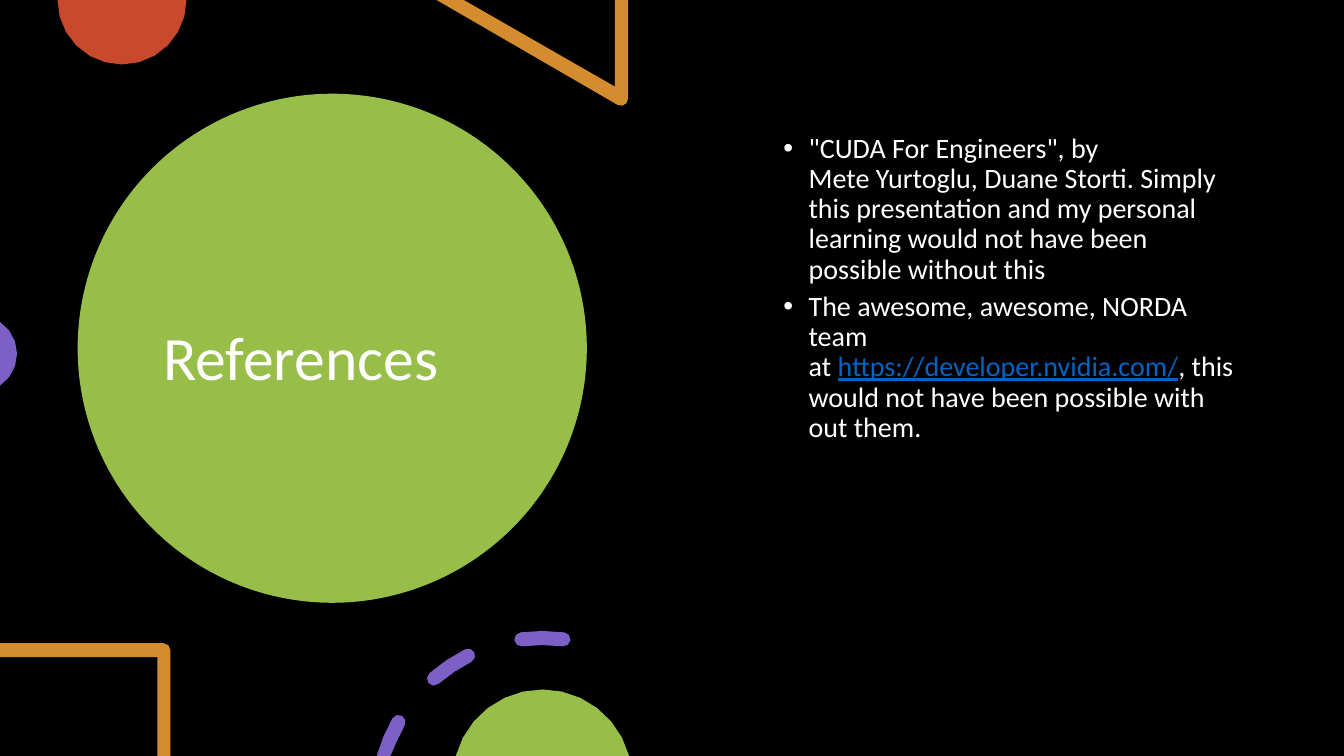
from math import ceil, cos, radians, sin, sqrt

from lxml import etree
from pptx import Presentation
from pptx.dml.color import RGBColor
from pptx.enum.shapes import MSO_SHAPE
from pptx.enum.text import MSO_ANCHOR, MSO_AUTO_SIZE, PP_ALIGN
from pptx.oxml.ns import qn
from pptx.util import Inches, Pt

OVAL = MSO_SHAPE.OVAL
LEFT = PP_ALIGN.LEFT
TOP, MIDDLE = MSO_ANCHOR.TOP, MSO_ANCHOR.MIDDLE
NO_FIT = MSO_AUTO_SIZE.NONE

BLACK = RGBColor(0x00, 0x00, 0x00)
WHITE = RGBColor(0xFF, 0xFF, 0xFF)
GREEN = RGBColor(0x97, 0xBE, 0x49)
RED = RGBColor(0xC9, 0x49, 0x2C)
ORANGE = RGBColor(0xD5, 0x8C, 0x2E)
PURPLE = RGBColor(0x7C, 0x60, 0xC6)
LINK_BLUE = RGBColor(0x05, 0x63, 0xC1)

FONT = "Calibri"
WIDTH, HEIGHT = 13.33, 7.5
TITLE = "References"
LINK = "https://developer.nvidia.com/"
REFERENCES = [
    ['"CUDA For Engineers", by Mete\u00a0Yurtoglu, Duane Storti. Simply this presentation '
     "and my personal learning would not have been possible without this"],
    ["The awesome, awesome, NORDA team at\u00a0", LINK,
     ", this would not have been possible with out them."],
]

# Circles cut by the slide edge: centre x, centre y, radius, first and last angle, colour
CUT_CIRCLES = [
    (1.21, 0, 0.64, 0, 180, RED),
    (-0.21, 3.51, 0.38, -56.5, 56.5, PURPLE),
    (5.38, 7.73, 0.89, 195, 345, GREEN),
]
RING_CENTRE, RING_RADIUS, DASH_HALF = (5.38, 7.97), 1.64, 0.07
DASHES = [(196.2, 209.5), (229, 243.3), (262.7, 277.3)]
CORNER_RADIUS = 0.07


def arc(x, y, radius, start, end):
    """Points along an arc; angles in degrees, clockwise from the right."""
    steps = ceil(abs(end - start) * sqrt(radius) / 12)
    angles = [radians(start + (end - start) * i / steps) for i in range(steps + 1)]
    return [(x + radius * cos(a), y + radius * sin(a)) for a in angles]


def round_dash(start, end):
    """Outline of one ring dash with round ends, cut at the slide's bottom edge."""
    x, y = RING_CENTRE
    tail, head = [(x + RING_RADIUS * cos(radians(a)), y + RING_RADIUS * sin(radians(a)))
                  for a in (start, end)]
    points = (arc(x, y, RING_RADIUS + DASH_HALF, start, end)
              + arc(*head, DASH_HALF, end, end + 180)
              + arc(x, y, RING_RADIUS - DASH_HALF, end, start)
              + arc(*tail, DASH_HALF, start + 180, start + 360))
    return [(across, min(down, HEIGHT)) for across, down in points]


def paint(shape, colour):
    shape.shadow.inherit = False
    shape.fill.solid()
    shape.fill.fore_color.rgb = colour
    shape.line.fill.background()


def add_outline(slide, contours, colour):
    contours = [[(Inches(x), Inches(y)) for x, y in points] for points in contours]
    builder = slide.shapes.build_freeform(*contours[0][0])
    for number, points in enumerate(contours):
        if number:
            builder.move_to(*points[0])
        builder.add_line_segments(points[1:], close=True)
    paint(builder.convert_to_shape(), colour)


def place(box, left, top, width, height, anchor):
    box.left, box.top = Inches(left), Inches(top)
    box.width, box.height = Inches(width), Inches(height)
    frame = box.text_frame
    frame.word_wrap = True
    frame.auto_size = NO_FIT
    frame.vertical_anchor = anchor


def style(span, size, colour):
    span.font.name, span.font.size = FONT, Pt(size)
    span.font.color.rgb = colour


def add_bullet(para):
    properties = para._p.get_or_add_pPr()
    properties.set("marL", str(Inches(1.25)))
    properties.set("indent", str(Inches(-0.25)))
    etree.SubElement(properties, qn("a:buFont")).set("typeface", "Arial")
    etree.SubElement(properties, qn("a:buChar")).set("char", "•")


def fill_title(title):
    place(title, 1.52, 1.35, 3.54, 4.45, MIDDLE)
    title.text_frame.text = TITLE
    para = title.text_frame.paragraphs[0]
    para.alignment, para.line_spacing = LEFT, 0.9
    style(para.runs[0], 44, WHITE)


def fill_references(body):
    place(body, 6.67, 1.28, 5.75, 4.97, TOP)
    frame = body.text_frame
    for number, pieces in enumerate(REFERENCES):
        para = frame.add_paragraph() if number else frame.paragraphs[0]
        para.level = 2
        add_bullet(para)
        para.alignment, para.line_spacing = LEFT, 0.9
        para.space_before = Pt(5 if number else 0)
        for piece in pieces:
            span = para.add_run()
            span.text = piece
            style(span, 20, LINK_BLUE if piece == LINK else WHITE)
            span.font.underline = piece == LINK


def main():
    deck = Presentation()
    deck.slide_width, deck.slide_height = Inches(WIDTH), Inches(HEIGHT)
    slide = deck.slides.add_slide(deck.slide_layouts[1])
    slide.background.fill.solid()
    slide.background.fill.fore_color.rgb = BLACK

    title, body = slide.placeholders
    fill_title(title)
    fill_references(body)

    disc = slide.shapes.add_shape(OVAL, Inches(0.77), Inches(0.93), Inches(5.05), Inches(5.05))
    paint(disc, GREEN)
    title.element.addprevious(disc.element)

    for *circle, colour in CUT_CIRCLES:
        add_outline(slide, [arc(*circle)], colour)

    triangle = ([(6.23, 0), (6.1, 0), (6.1, 0.86), (4.6, 0), (4.33, 0)]
                + arc(6.16, 0.98, CORNER_RADIUS, 120, 0))
    square = ([(0, 6.38)] + arc(1.62, 6.45, CORNER_RADIUS, -90, 0)
              + [(1.69, HEIGHT), (1.56, HEIGHT), (1.56, 6.52), (0, 6.52)])
    for frame_corner in (triangle, square):
        add_outline(slide, [frame_corner], ORANGE)

    add_outline(slide, [round_dash(*dash) for dash in DASHES], PURPLE)
    deck.save("out.pptx")


if __name__ == "__main__":
    main()
